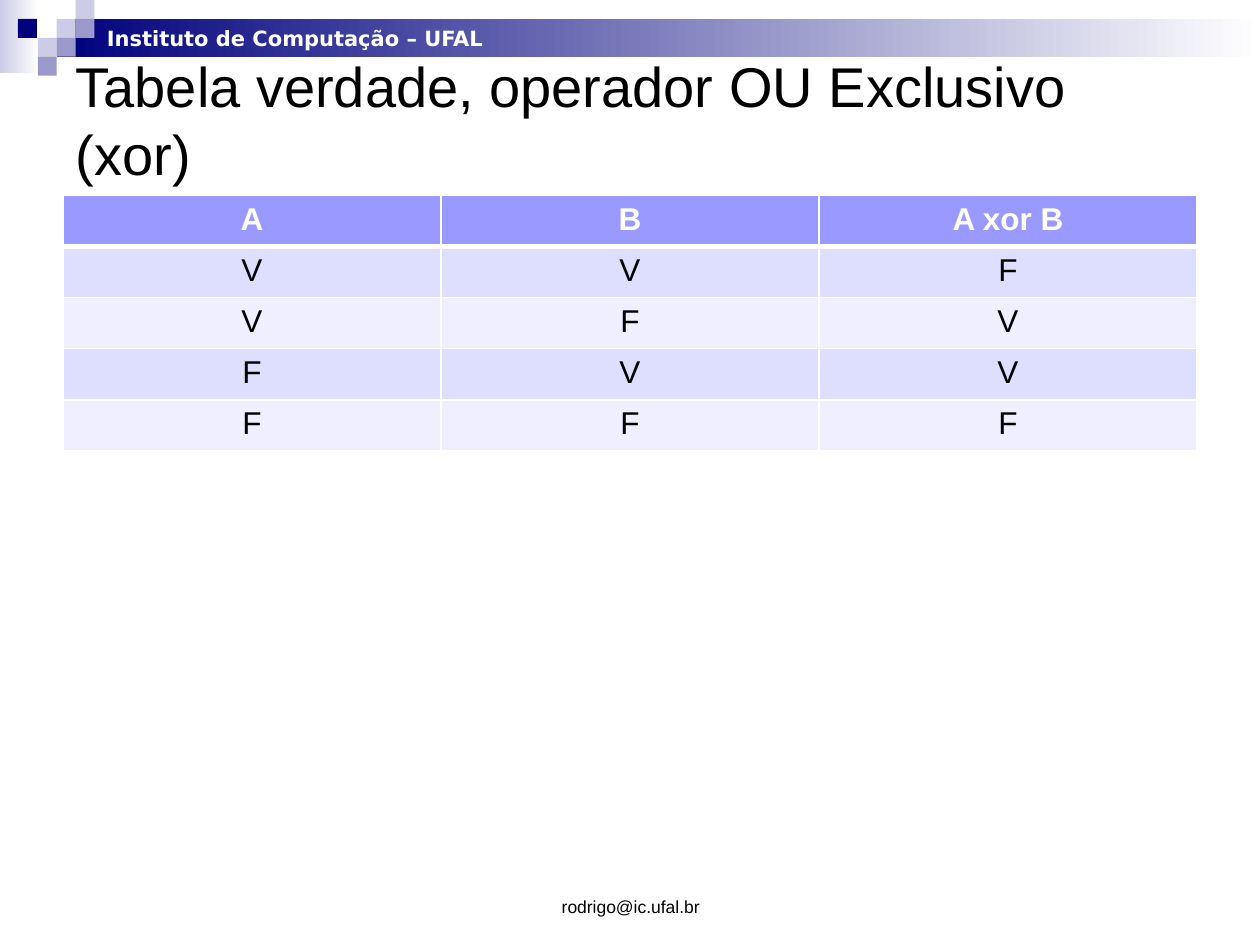
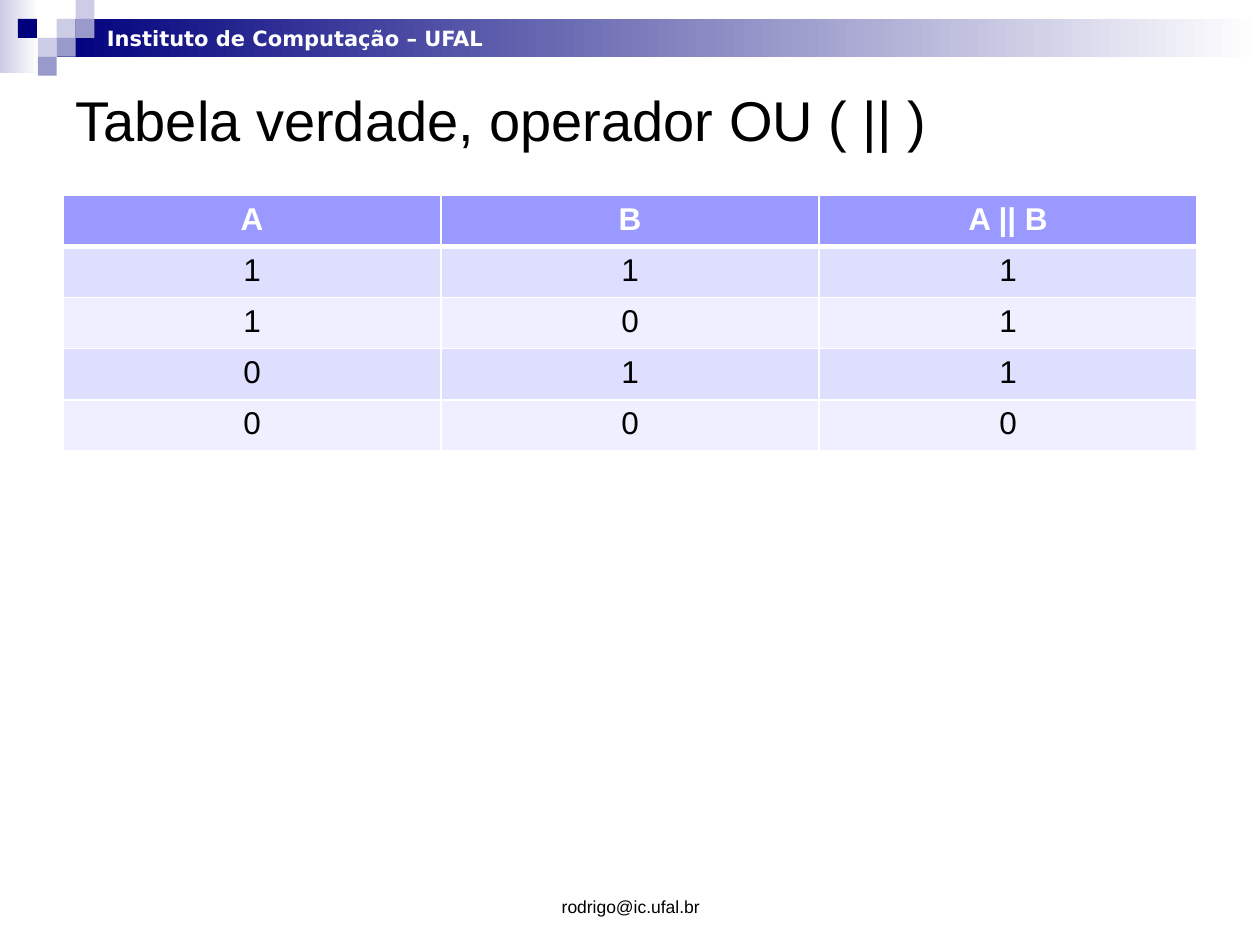
from pptx import Presentation
from pptx.dml.color import RGBColor
from pptx.enum.shapes import MSO_SHAPE
from pptx.enum.text import MSO_ANCHOR, MSO_AUTO_SIZE, PP_ALIGN
from pptx.oxml import parse_xml
from pptx.oxml.ns import nsdecls
from pptx.util import Inches, Pt

NAVY, LILAC, LAVENDER = "00007D", "9999CC", "CCCCE6"
WHITE, BLACK = "FFFFFF", "000000"
HEADER_FILL, BAND_FILLS = "9999FF", ("DEDEFF", "EFEFFF")

deck = Presentation()
deck.slide_width, deck.slide_height = Inches(10), Inches(7.5)
unit = deck.slide_height / 50
margin = deck.slide_width // 20
content_width = deck.slide_width - 2 * margin

gradients = [
    (0, 0, Inches(0.31), Inches(0.58), LAVENDER),
    (3 * unit, unit, deck.slide_width - 3 * unit, 2 * unit, NAVY),
]
mosaic = [
    (3, 1, LAVENDER), (4, 0, LAVENDER), (4, 1, LILAC), (2, 2, LAVENDER),
    (0.95, 1, NAVY), (3, 2, LILAC), (2, 3, LILAC),
]
truth_tables = [
    ("Tabela verdade, operador OU Exclusivo (xor)", "A xor B", ["VVF", "VFV", "FVV", "FFF"]),
    ("Tabela verdade, operador OU ( || )", "A || B", ["111", "101", "011", "000"]),
]


def color(hex_code):
    return RGBColor.from_string(hex_code)


def write(frame, text, size, ink, font="Arial", bold=False, align=PP_ALIGN.CENTER):
    frame.text = text
    paragraph = frame.paragraphs[0]
    paragraph.alignment = align
    paragraph.font.name = font
    paragraph.font.size = Pt(size)
    paragraph.font.bold = bold
    paragraph.font.color.rgb = color(ink)


for heading, result, outcomes in truth_tables:
    slide = deck.slides.add_slide(deck.slide_layouts[5])
    slide.background.fill.solid()
    slide.background.fill.fore_color.rgb = color(WHITE)

    for left, top, width, height, start in gradients:
        band = slide.shapes.add_shape(MSO_SHAPE.RECTANGLE, int(left), int(top), int(width), int(height))
        band.shadow.inherit = False
        band.line.fill.background()
        band.fill.gradient()
        band.fill.gradient_angle = 0
        for stop, shade in zip(band.fill.gradient_stops, (start, WHITE)):
            stop.color.rgb = color(shade)

    for column, row, shade in mosaic:
        tile = slide.shapes.add_shape(
            MSO_SHAPE.RECTANGLE, int(column * unit), int(row * unit), int(unit), int(unit))
        tile.shadow.inherit = False
        tile.line.fill.background()
        tile.fill.solid()
        tile.fill.fore_color.rgb = color(shade)

    institute = slide.shapes.add_textbox(int(5 * unit), int(unit), Inches(3.24), int(2 * unit))
    institute.text_frame.word_wrap = False
    institute.text_frame.auto_size = MSO_AUTO_SIZE.SHAPE_TO_FIT_TEXT
    write(institute.text_frame, "Instituto de Computação – UFAL", 12, WHITE,
          font="DejaVu Sans", bold=True, align=PP_ALIGN.LEFT)

    title = slide.shapes.title
    title.left, title.top = margin, margin
    title.width, title.height = content_width, Inches(0.89)
    title.text_frame.vertical_anchor = MSO_ANCHOR.MIDDLE
    title.text_frame.auto_size = MSO_AUTO_SIZE.NONE
    write(title.text_frame, heading, 32, BLACK, align=PP_ALIGN.LEFT)

    lines = [("A", "B", result), *outcomes]
    table = slide.shapes.add_table(
        len(lines), 3, margin, Inches(1.55), content_width, Inches(2.03)).table
    for row, values in enumerate(lines):
        is_header = row == 0
        edges = {"L": 1, "R": 1, "T": 3 if row == 1 else 1, "B": 3 if is_header else 1}
        for column, value in enumerate(values):
            cell = table.cell(row, column)
            write(cell.text_frame, value, 18, WHITE if is_header else BLACK, bold=is_header)
            properties = cell._tc.get_or_add_tcPr()
            for side, points in edges.items():
                properties.append(parse_xml(
                    f'<a:ln{side} {nsdecls("a")} w="{Pt(points)}"><a:solidFill>'
                    f'<a:srgbClr val="{WHITE}"/></a:solidFill></a:ln{side}>'))
            cell.fill.solid()
            cell.fill.fore_color.rgb = color(HEADER_FILL if is_header else BAND_FILLS[(row - 1) % 2])

    contact = slide.shapes.add_textbox(Inches(3.42), Inches(6.83), Inches(3.17), Inches(0.5))
    contact.text_frame.word_wrap = True
    contact.text_frame.vertical_anchor = MSO_ANCHOR.BOTTOM
    write(contact.text_frame, "rodrigo@ic.ufal.br", 10, BLACK)

deck.save("out.pptx")
